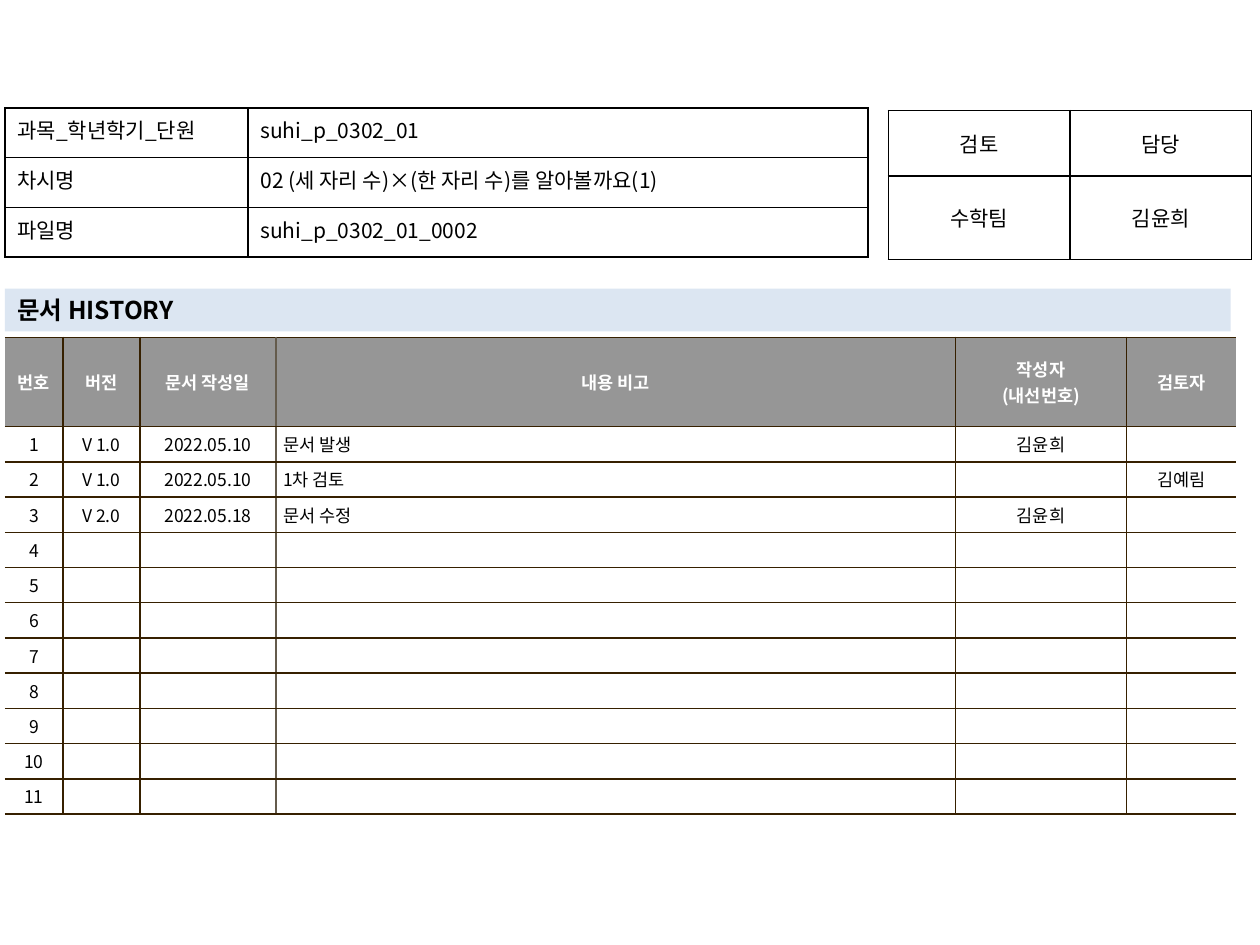
from lxml import etree
from pptx import Presentation
from pptx.dml.color import RGBColor
from pptx.enum.shapes import MSO_SHAPE
from pptx.enum.text import MSO_ANCHOR, PP_ALIGN
from pptx.oxml.ns import qn
from pptx.util import Cm, Pt

LEFT, CENTER, JUSTIFY = PP_ALIGN.LEFT, PP_ALIGN.CENTER, PP_ALIGN.JUSTIFY
TOP, MIDDLE = MSO_ANCHOR.TOP, MSO_ANCHOR.MIDDLE
RECTANGLE = MSO_SHAPE.RECTANGLE
FONT = "Noto Sans CJK KR"
BLACK, WHITE, GRAY, PALE_BLUE = "000000", "FFFFFF", "969696", "DCE6F2"
BROWN, TAUPE = "362000", "645B4C"

LESSON = [
    ["과목_학년학기_단원 ", "suhi_p_0302_01"],
    ["차시명", "02 (세 자리 수)×(한 자리 수)를 알아볼까요(1)"],
    ["파일명", "suhi_p_0302_01_0002"],
]
REVIEW = [["검토", "담당"], ["수학팀", "김윤희"]]
HISTORY_TITLE = "문서 HISTORY"
HISTORY_HEADER = ["번호", "버전", "문서 작성일", "내용 비고", "작성자\n(내선번호)", "검토자"]
HISTORY_ENTRIES = [
    ["V 1.0", "2022.05.10", "문서 발생", "김윤희", ""],
    ["V 1.0", "2022.05.10", "1차 검토", "", "김예림"],
    ["V 2.0", "2022.05.18", "문서 수정", "김윤희", ""],
]
HISTORY_ROWS = 11
NOTE_COLUMN = 3

LESSON_FORMAT = {"size": 12, "bold": False, "color": BLACK, "fill": None,
                 "anchor": TOP, "margins": (0.25, 0.13)}
REVIEW_FORMAT = {**LESSON_FORMAT, "anchor": MIDDLE}
ENTRY_FORMAT = {"size": 10, "bold": False, "color": BLACK, "fill": WHITE,
                "anchor": MIDDLE, "margins": (0.15, 0.1)}
HEADER_FORMAT = {**ENTRY_FORMAT, "bold": True, "color": WHITE, "fill": GRAY}


def rgb(value):
    return RGBColor.from_string(value)


def style_text(frame, size, bold, color, align):
    for paragraph in frame.paragraphs:
        paragraph.alignment = align
        for run in paragraph.runs:
            values = {"size": Pt(size), "bold": bold, "name": FONT}
            for key, value in values.items():
                setattr(run.font, key, value)
            run.font.color.rgb = rgb(color)
            etree.SubElement(run.font._element, qn("a:ea"), typeface=FONT)
        if not paragraph.runs:
            etree.SubElement(paragraph._p, qn("a:endParaRPr"), sz=str(size * 100))


def set_borders(cell, colors):
    properties = cell._tc.get_or_add_tcPr()
    for index, (side, color) in enumerate(zip("LRTB", colors)):
        line = etree.Element(qn(f"a:ln{side}"), w=str(Pt(1)))
        if color:
            fill = etree.SubElement(line, qn("a:solidFill"))
            etree.SubElement(fill, qn("a:srgbClr"), val=color)
        else:
            etree.SubElement(line, qn("a:noFill"))
        properties.insert(index, line)


def format_cell(cell, text, look, align, borders):
    cell.text = text
    across, down = map(Cm, look["margins"])
    values = {"margin_left": across, "margin_right": across, "margin_top": down,
              "margin_bottom": down, "vertical_anchor": look["anchor"]}
    for key, value in values.items():
        setattr(cell, key, value)
    if look["fill"]:
        cell.fill.solid()
        cell.fill.fore_color.rgb = rgb(look["fill"])
    else:
        cell.fill.background()
    style_text(cell.text_frame, look["size"], look["bold"], look["color"], align)
    set_borders(cell, borders)


def add_grid(slide, left, top, widths, heights, rows, looks, align, column_lines, row_line):
    table = slide.shapes.add_table(
        len(rows), len(widths), Cm(left), Cm(top), Cm(sum(widths)), Cm(sum(heights))
    ).table
    table.first_row = table.horz_banding = False
    for column, width in zip(table.columns, widths):
        column.width = Cm(width)
    for r, (texts, height, look) in enumerate(zip(rows, heights, looks)):
        table.rows[r].height = Cm(height)
        for c, text in enumerate(texts):
            borders = (column_lines[c], column_lines[c + 1], row_line, row_line)
            format_cell(table.cell(r, c), text, look, align(r, c), borders)


def history_align(row, column):
    return LEFT if row and column == NOTE_COLUMN else CENTER


def add_history_title(slide):
    band = slide.shapes.add_shape(RECTANGLE, Cm(0.1), Cm(5.82), Cm(24.71), Cm(0.86))
    band.shadow.inherit = False
    band.fill.solid()
    band.fill.fore_color.rgb = rgb(PALE_BLUE)
    band.line.fill.background()
    band.text_frame.text = HISTORY_TITLE
    style_text(band.text_frame, 14, True, BLACK, LEFT)


def main():
    deck = Presentation()
    deck.slide_width, deck.slide_height = Cm(25.4), Cm(19.05)
    slide = deck.slides.add_slide(deck.slide_layouts[6])

    blanks = [[""] * 5] * (HISTORY_ROWS - len(HISTORY_ENTRIES))
    entries = [[str(n), *entry] for n, entry in enumerate(HISTORY_ENTRIES + blanks, 1)]
    add_grid(slide, 0.1, 6.8, [1.17, 1.55, 2.74, 13.7, 3.45, 2.2],
             [1.8] + [0.71] * HISTORY_ROWS, [HISTORY_HEADER] + entries,
             [HEADER_FORMAT] + [ENTRY_FORMAT] * HISTORY_ROWS, history_align,
             [None, BROWN, BROWN, TAUPE, BROWN, BROWN, None], BROWN)
    add_grid(slide, 17.91, 2.23, [3.66, 3.66], [1.32, 1.68], REVIEW,
             [REVIEW_FORMAT] * 2, lambda row, column: CENTER, [BLACK] * 3, BLACK)
    add_history_title(slide)
    add_grid(slide, 0.1, 2.18, [4.9, 12.5], [1] * 3, LESSON, [LESSON_FORMAT] * 3,
             lambda row, column: LEFT if column else JUSTIFY, [BLACK] * 3, BLACK)
    deck.save("out.pptx")


if __name__ == "__main__":
    main()
